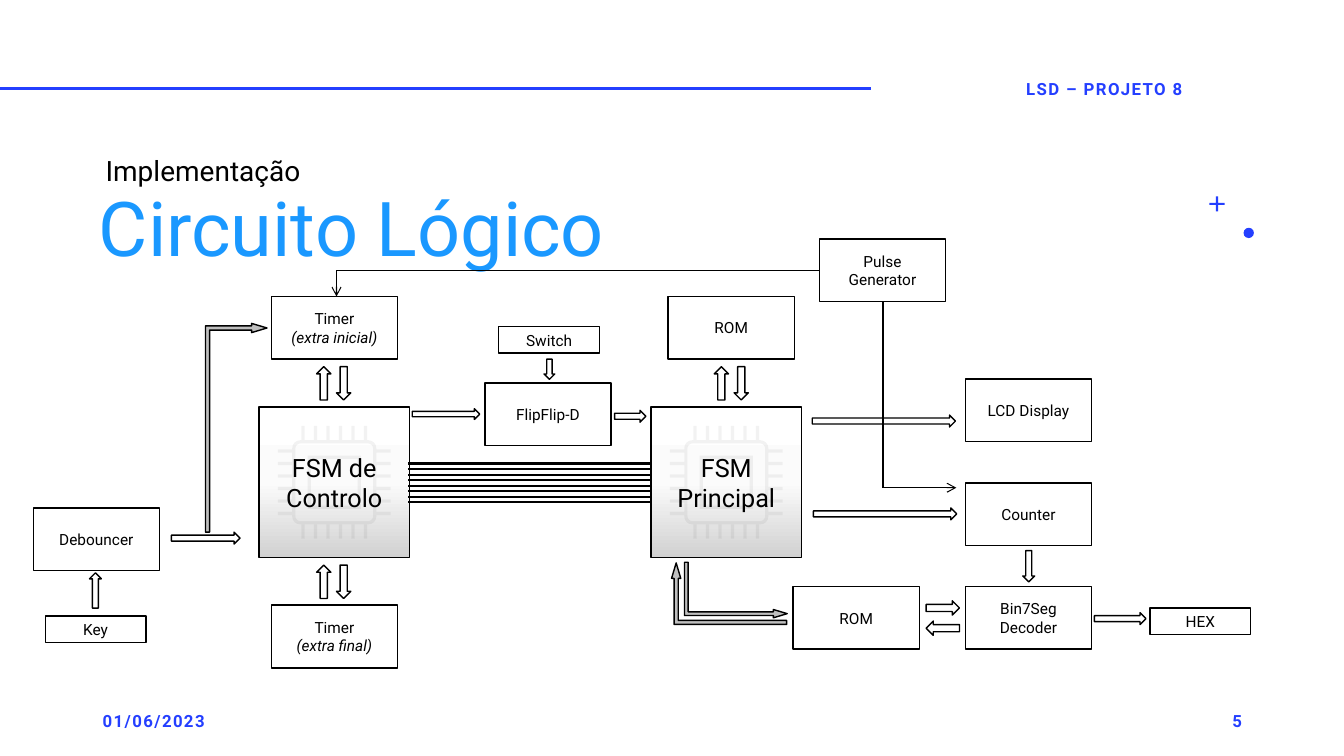
"""Build the slide with the block diagram of the logic circuit."""
from copy import deepcopy
from math import cos, pi, sin

from lxml.etree import SubElement
from pptx import Presentation
from pptx.dml.color import RGBColor
from pptx.enum.shapes import MSO_CONNECTOR, MSO_SHAPE
from pptx.enum.text import MSO_ANCHOR, MSO_AUTO_SIZE, PP_ALIGN
from pptx.oxml.ns import qn
from pptx.util import Cm, Pt

RECTANGLE, OVAL, CROSS = MSO_SHAPE.RECTANGLE, MSO_SHAPE.OVAL, MSO_SHAPE.CROSS
RIGHT_ARROW, BENT_ARROW = MSO_SHAPE.RIGHT_ARROW, MSO_SHAPE.BENT_ARROW
STRAIGHT = MSO_CONNECTOR.STRAIGHT
LEFT, CENTER, RIGHT = PP_ALIGN.LEFT, PP_ALIGN.CENTER, PP_ALIGN.RIGHT
MIDDLE, BOTTOM = MSO_ANCHOR.MIDDLE, MSO_ANCHOR.BOTTOM
NO_AUTOFIT = MSO_AUTO_SIZE.NONE

BLACK = RGBColor(0x00, 0x00, 0x00)
WHITE = RGBColor(0xFF, 0xFF, 0xFF)
PALE = RGBColor(0xFB, 0xFB, 0xFB)
SILVER = RGBColor(0xD1, 0xD1, 0xD1)
GRAY = RGBColor(0xBF, 0xBF, 0xBF)
BLUE = RGBColor(0x24, 0x3F, 0xFF)
SKY = RGBColor(0x1A, 0x98, 0xFF)

FONT = "Roboto"
BLOCK, LABEL, FSM = (3.18, 1.58), (2.54, 0.67), 3.79
UP, DOWN, BACK = 270, 90, 180

BLOCKS = [
    ("Debouncer", 0.84, 12.8),
    ("Timer\n(extra inicial)", 6.84, 7.47),
    ("Timer\n(extra final)", 6.84, 15.25),
    ("Pulse Generator", 20.65, 6.02),
    ("FlipFlip-D", 12.22, 9.65),
    ("ROM", 16.84, 7.47),
    ("ROM", 19.99, 14.78),
    ("Bin7Seg\nDecoder", 24.33, 14.78),
    ("Counter", 24.33, 12.17),
    ("LCD Display", 24.33, 9.55),
]
LABELS = [("Key", 1.14, 15.52), ("Switch", 12.57, 8.23), ("HEX", 28.98, 15.32)]
ARROWS = [
    (1.96, 14.73, 0.89, 0.3, UP),
    (4.32, 13.41, 1.73, 0.3, 0),
    (10.39, 10.3, 1.7, 0.27, 0),
    (15.49, 10.34, 0.79, 0.3, 0),
    (13.59, 9.17, 0.51, 0.27, DOWN),
    (20.5, 12.8, 3.61, 0.3, 0),
    (20.47, 10.46, 3.61, 0.3, 0),
    (25.53, 14.12, 0.79, 0.3, DOWN),
    (23.34, 15.14, 0.84, 0.36, 0),
    (23.34, 15.65, 0.84, 0.36, BACK),
    (27.58, 15.44, 1.3, 0.3, 0),
]
ARROW_PAIRS = [(7.74, 9.48), (7.74, 14.48), (17.76, 9.48)]


def write_text(shape, text, size=11, color=BLACK, bold=False, align=CENTER,
               anchor=MIDDLE, line_spacing=None, tracking=0):
    frame = shape.text_frame
    frame.word_wrap = True
    frame.auto_size = NO_AUTOFIT
    frame.vertical_anchor = anchor
    frame.text = text
    for paragraph in frame.paragraphs:
        paragraph.alignment = align
        paragraph.line_spacing = line_spacing
        for run in paragraph.runs:
            font = run.font
            font.name, font.size, font.bold = FONT, Pt(size), bold
            font.italic = run.text.startswith("(")
            font.color.rgb = color
            if tracking:
                font._element.set("spc", str(tracking * 100))


def place(shape, x, y, w, h):
    shape.left, shape.top, shape.width, shape.height = Cm(x), Cm(y), Cm(w), Cm(h)


def add_text(slide, text, x, y, w, h, **text_format):
    box = slide.shapes.add_textbox(Cm(x), Cm(y), Cm(w), Cm(h))
    write_text(box, text, **text_format)


def add_outlined(slide, kind, x, y, w, h, fill=None):
    shape = slide.shapes.add_shape(kind, Cm(x), Cm(y), Cm(w), Cm(h))
    shape.shadow.inherit = False
    if fill is None:
        shape.fill.background()
    else:
        shape.fill.solid()
        shape.fill.fore_color.rgb = fill
    shape.line.color.rgb = BLACK
    shape.line.width = Pt(1)
    return shape


def add_mark(slide, kind, x, y, size):
    mark = add_outlined(slide, kind, x, y, size, size, BLUE)
    mark.line.fill.background()
    return mark


def add_arrow(slide, x, y, w, h, rotation):
    add_outlined(slide, RIGHT_ARROW, x, y, w, h).rotation = rotation


def add_bent_arrow(slide, x, y, w, h, rotation=0, flipped=False):
    arrow = add_outlined(slide, BENT_ARROW, x, y, w, h, GRAY)
    for index, value in enumerate((0.067, 0.075, 0.25, 0)):
        arrow.adjustments[index] = value
    arrow.rotation = rotation
    if flipped:
        arrow.element.spPr.xfrm.set("flipV", "1")


def add_line(slide, x1, y1, x2, y2, width=1, color=BLACK, arrow=False):
    line = slide.shapes.add_connector(STRAIGHT, Cm(x1), Cm(y1), Cm(x2), Cm(y2))
    line.line.color.rgb = color
    line.line.width = Pt(width)
    if arrow:
        SubElement(line.line._get_or_add_ln(), qn("a:tailEnd"), type="arrow")
    SubElement(line.element.spPr, qn("a:effectLst"))


def square_outline(half, radius=0, pins=0, reach=0):
    """Return the points of a centred square, rounded and with pins on each side."""
    bend = half - radius
    side = [(-bend - radius * cos(step * pi / 8), -bend - radius * sin(step * pi / 8))
            for step in range(5)]
    for pin in range(pins):
        middle = (pin - (pins - 1) / 2) * 0.315
        side += [(middle - 0.04, -half), (middle - 0.04, -reach),
                 (middle + 0.04, -reach), (middle + 0.04, -half)]
    outline = []
    for _ in range(4):
        outline += side
        side = [(-y, x) for x, y in side]
    return outline


def add_ring(slide, center_x, center_y, outer, inner):
    contours = [[(Cm(center_x + x), Cm(center_y + y)) for x, y in contour]
                for contour in (outer, inner)]
    builder = slide.shapes.build_freeform(*contours[0][0])
    builder.add_line_segments(contours[0][1:])
    builder.move_to(*contours[1][0])
    builder.add_line_segments(contours[1][1:])
    ring = builder.convert_to_shape()
    ring.shadow.inherit = False
    ring.line.fill.background()
    ring.fill.solid()
    ring.fill.fore_color.rgb = BLACK
    tint = ring.element.spPr.find(".//" + qn("a:srgbClr"))
    SubElement(tint, qn("a:alpha"), val="5000")


def add_fsm(slide, text, x, y):
    machine = add_outlined(slide, RECTANGLE, x, y, FSM, FSM)
    machine.fill.gradient()
    machine.fill.gradient_angle = 270
    stop_list = machine.element.spPr.find(".//" + qn("a:gsLst"))
    stop_list.insert(1, deepcopy(stop_list[0]))
    shades = ((0, WHITE), (0.5, PALE), (1, SILVER))
    for stop, (position, color) in zip(machine.fill.gradient_stops, shades):
        stop.position, stop.color.rgb = position, color
    write_text(machine, text, size=18)
    center = x + FSM / 2, y + FSM / 2
    add_ring(slide, *center, square_outline(0.67), square_outline(0.59))
    add_ring(slide, *center, square_outline(1.06, 0.2, 6, 1.42), square_outline(0.98, 0.13))


def add_frame(slide):
    add_line(slide, 0, 2.24, 21.95, 2.24, width=2, color=BLUE)
    add_mark(slide, OVAL, 31.34, 5.74, 0.26)
    add_mark(slide, CROSS, 30.48, 4.95, 0.38).adjustments[0] = 0.43
    for text, x, y, w, align in (("01/06/2023", 2.34, 17.65, 7.62, LEFT),
                                 ("LSD – PROJETO 8", 22.12, 1.73, 11.43, CENTER),
                                 ("5", 23.93, 17.65, 7.62, RIGHT)):
        add_text(slide, text, x, y, w, 1.02, size=12, color=BLUE, bold=True,
                 align=align, tracking=1)
    place(slide.shapes.title, 2.24, 3.71, 17.2, 3.28)
    heading = {"align": LEFT, "anchor": BOTTOM, "line_spacing": 0.9}
    write_text(slide.shapes.title, "Circuito Lógico", size=54, color=SKY, **heading)
    add_text(slide, "Implementação", 2.41, 1.57, 17.2, 3.28, size=20, **heading)


def add_circuit(slide):
    add_fsm(slide, "FSM de Controlo", 6.53, 10.26)
    add_fsm(slide, "FSM Principal", 16.41, 10.26)
    for entries, size in ((BLOCKS, BLOCK), (LABELS, LABEL)):
        for text, x, y in entries:
            write_text(add_outlined(slide, RECTANGLE, x, y, *size), text)
    add_bent_arrow(slide, 5.18, 8.15, 1.55, 5.26)
    add_bent_arrow(slide, 17.6, 13.51, 1.55, 2.9, rotation=UP)
    add_bent_arrow(slide, 17.25, 14.17, 2.59, 1.4, flipped=True)
    for arrow in ARROWS:
        add_arrow(slide, *arrow)
    for x, y in ARROW_PAIRS:
        add_arrow(slide, x, y, 0.84, 0.36, UP)
        add_arrow(slide, x + 0.5, y, 0.84, 0.36, DOWN)
    for wire in range(8):
        y = 11.68 + 0.14 * wire
        add_line(slide, 10.29, y, 16.38, y, width=1.5)
    add_line(slide, 8.48, 6.81, 20.65, 6.81)
    add_line(slide, 8.48, 6.81, 8.48, 7.47, width=0.75, arrow=True)
    add_line(slide, 22.25, 12.29, 22.25, 7.6)
    add_line(slide, 22.25, 12.29, 24.1, 12.29, width=0.75, arrow=True)


def main():
    deck = Presentation()
    deck.slide_width, deck.slide_height = Cm(33.87), Cm(19.05)
    slide = deck.slides.add_slide(deck.slide_layouts[5])
    add_frame(slide)
    add_circuit(slide)
    deck.save("out.pptx")


main()
